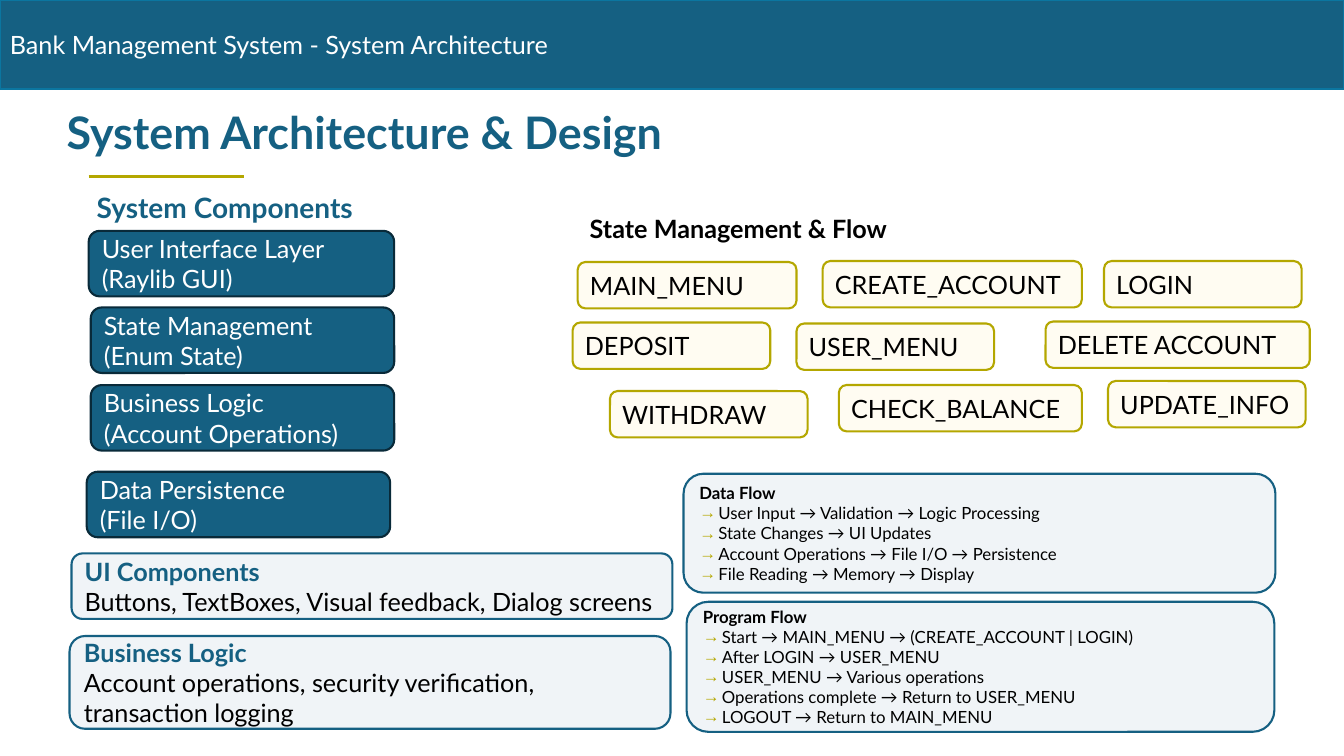
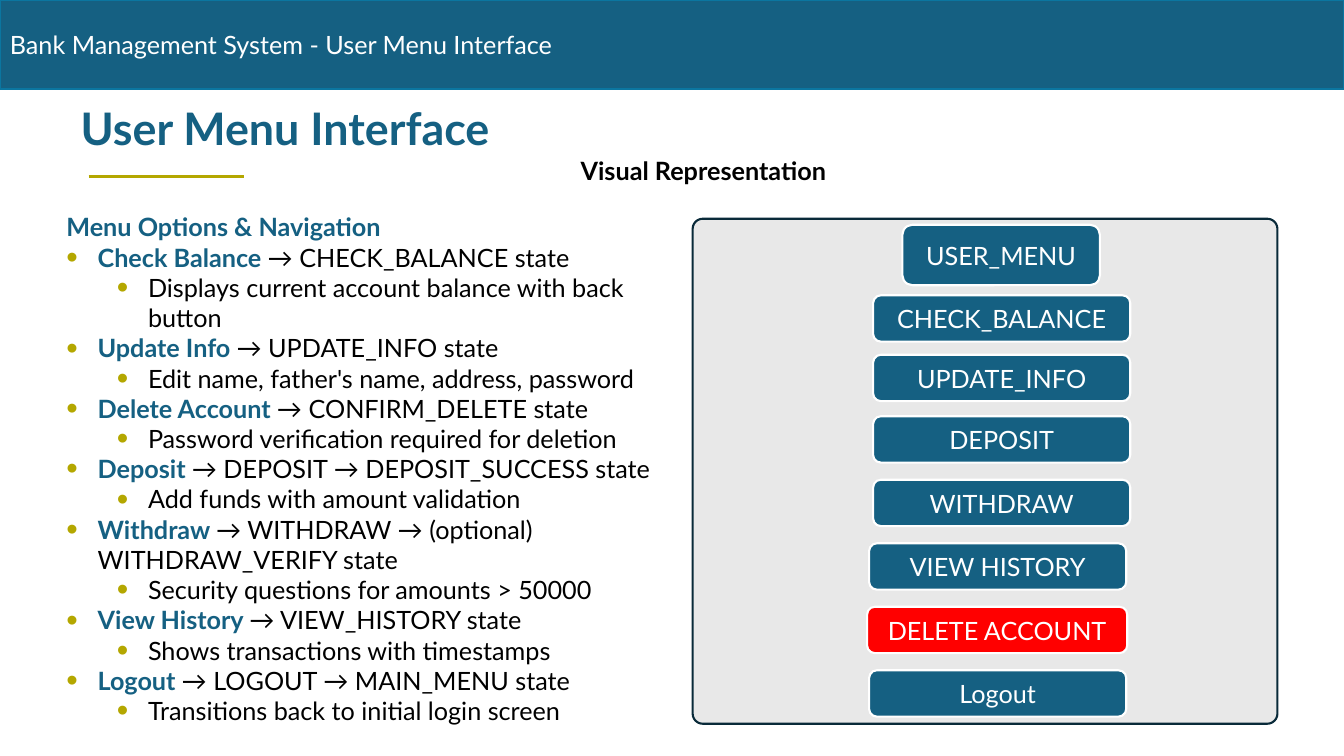
from dataclasses import dataclass

from lxml import etree
from pptx import Presentation
from pptx.dml.color import RGBColor
from pptx.enum.shapes import MSO_CONNECTOR, MSO_SHAPE
from pptx.enum.text import MSO_ANCHOR, MSO_AUTO_SIZE, PP_ALIGN
from pptx.oxml.ns import qn
from pptx.util import Inches, Pt

RECT = MSO_SHAPE.RECTANGLE
ROUNDED = MSO_SHAPE.ROUNDED_RECTANGLE
STRAIGHT = MSO_CONNECTOR.STRAIGHT
LEFT = PP_ALIGN.LEFT
CENTER = PP_ALIGN.CENTER
TOP = MSO_ANCHOR.TOP
MIDDLE = MSO_ANCHOR.MIDDLE
BOTTOM = MSO_ANCHOR.BOTTOM
NO_AUTOFIT = MSO_AUTO_SIZE.NONE
TITLE_ONLY = 5


@dataclass(frozen=True)
class Theme:
    font: str = "Lato"
    blue: str = "156082"
    band_line: str = "0B76A0"
    navy: str = "092A39"
    gold: str = "B4A700"
    cream: str = "FFFCF2"
    mist: str = "F0F4F7"
    gray: str = "E8E8E8"
    red: str = "FF0000"
    white: str = "FFFFFF"
    black: str = "000000"
    title: int = 32
    heading: int = 20
    body: int = 18
    small: int = 12
    outline: float = 1.5
    rule: float = 2


THEME = Theme()


@dataclass(frozen=True)
class Bullet:
    char: str
    left: float
    hang: float
    percent: int = 100


ARROW = Bullet("→", 0.19, 0.19)
DOT = Bullet("•", 0.31, 0.31, 130)
SUB_DOT = Bullet("•", 0.81, 0.31, 130)

COMPONENTS = [
    (0.88, 2.29, 3.03, "User Interface Layer", "(Raylib GUI)"),
    (0.9, 3.05, 3.01, "State Management", "(Enum State)"),
    (0.9, 3.82, 3.01, "Business Logic", "(Account Operations)"),
    (0.86, 4.68, 3.01, "Data Persistence", "(File I/O)"),
]

STATES = [
    (5.73, 2.6, 2.17, "MAIN_MENU"),
    (8.16, 2.59, 2.57, "CREATE_ACCOUNT"),
    (10.95, 2.59, 1.96, "LOGIN"),
    (5.68, 3.2, 1.96, "DEPOSIT"),
    (7.9, 3.21, 1.96, "USER_MENU"),
    (10.37, 3.19, 2.62, "DELETE ACCOUNT"),
    (6.05, 3.88, 1.96, "WITHDRAW"),
    (8.32, 3.82, 2.41, "CHECK_BALANCE"),
    (10.99, 3.78, 1.96, "UPDATE_INFO"),
]

FLOWS = [
    ((6.78, 4.7, 5.87, 1.18), "Data Flow", [
        "User Input → Validation → Logic Processing",
        "State Changes → UI Updates",
        "Account Operations → File I/O → Persistence",
        "File Reading → Memory → Display",
    ]),
    ((6.81, 5.97, 5.83, 1.29), "Program Flow", [
        "Start → MAIN_MENU → (CREATE_ACCOUNT | LOGIN)",
        "After LOGIN → USER_MENU",
        "USER_MENU → Various operations",
        "Operations complete → Return to USER_MENU",
        "LOGOUT → Return to MAIN_MENU",
    ]),
]

SUMMARIES = [
    ((0.71, 5.49, 5.96, 0.65), "UI Components",
     "Buttons, TextBoxes, Visual feedback, Dialog screens"),
    ((0.69, 6.31, 5.96, 0.92), "Business Logic",
     "Account operations, security verification, transaction logging"),
]

MENU_OPTIONS = [
    ("Check Balance", "→ CHECK_BALANCE state",
     "Displays current account balance with back button"),
    ("Update Info", "→ UPDATE_INFO state",
     "Edit name, father's name, address, password"),
    ("Delete Account", "→ CONFIRM_DELETE state",
     "Password verification required for deletion"),
    ("Deposit", "→ DEPOSIT → DEPOSIT_SUCCESS state",
     "Add funds with amount validation"),
    ("Withdraw", "→ WITHDRAW → (optional) WITHDRAW_VERIFY state",
     "Security questions for amounts > 50000"),
    ("View History", "→ VIEW_HISTORY state",
     "Shows transactions with timestamps"),
    ("Logout", "→ LOGOUT → MAIN_MENU state",
     "Transitions back to initial login screen"),
]

MENU_BUTTONS = [
    ((8.95, 2.23, 1.96, 0.6), "USER_MENU", THEME.blue),
    ((8.66, 2.93, 2.55, 0.46), "CHECK_BALANCE", THEME.blue),
    ((8.66, 3.52, 2.55, 0.46), "UPDATE_INFO", THEME.blue),
    ((8.66, 4.13, 2.55, 0.46), "DEPOSIT", THEME.blue),
    ((8.66, 4.76, 2.55, 0.46), "WITHDRAW", THEME.blue),
    ((8.62, 5.39, 2.55, 0.46), "VIEW HISTORY", THEME.blue),
    ((8.6, 6.02, 2.58, 0.46), "DELETE ACCOUNT", THEME.red),
    ((8.62, 6.65, 2.55, 0.46), "Logout", THEME.blue),
]


def rgb(color):
    return RGBColor.from_string(color)


def inches(box):
    return [Inches(v) for v in box]


def set_bullet(p, bullet):
    pPr = p._p.get_or_add_pPr()
    pPr.set("marL", str(Inches(bullet.left)))
    pPr.set("indent", str(-Inches(bullet.hang)))
    color = etree.SubElement(pPr, qn("a:buClr"))
    etree.SubElement(color, qn("a:srgbClr"), val=THEME.gold)
    etree.SubElement(pPr, qn("a:buSzPct"), val=str(bullet.percent * 1000))
    etree.SubElement(pPr, qn("a:buFont"), typeface="Arial")
    etree.SubElement(pPr, qn("a:buChar"), char=bullet.char)


def write(tf, text, *, lead="", size=THEME.body, color=THEME.black, bold=False,
          align=LEFT, level=0, bullet=None, spacing=None):
    p = tf.paragraphs[0]
    if p.runs:
        p = tf.add_paragraph()
    p.alignment = align
    p.level = level
    if spacing:
        p.line_spacing = spacing
    if bullet:
        set_bullet(p, bullet)
    runs = [(text, color, bold)]
    if lead:
        runs.insert(0, (lead + " ", THEME.blue, True))
    for content, run_color, run_bold in runs:
        r = p.add_run()
        r.text = content
        r.font.name = THEME.font
        r.font.size = Pt(size)
        r.font.bold = run_bold
        r.font.color.rgb = rgb(run_color)


def add_box(shapes, box, fill, line, kind=ROUNDED):
    sp = shapes.add_shape(kind, *inches(box))
    sp.shadow.inherit = False
    sp.fill.solid()
    sp.fill.fore_color.rgb = rgb(fill)
    sp.line.color.rgb = rgb(line)
    sp.line.width = Pt(THEME.outline)
    sp.text_frame.word_wrap = True
    sp.text_frame.vertical_anchor = MIDDLE
    return sp


def add_label(s, box):
    tf = s.shapes.add_textbox(*inches(box)).text_frame
    tf.word_wrap = True
    tf.vertical_anchor = TOP
    return tf


def add_rule(s, x1, x2, y):
    line = s.shapes.add_connector(STRAIGHT, *inches((x1, y, x2, y)))
    line.line.color.rgb = rgb(THEME.gold)
    line.line.width = Pt(THEME.rule)
    etree.SubElement(line._element.spPr, qn("a:effectLst"))


def add_slide(prs, title, section, title_box):
    s = prs.slides.add_slide(prs.slide_layouts[TITLE_ONLY])
    sp = s.shapes.title
    sp.left, sp.top, sp.width, sp.height = inches(title_box)
    tf = sp.text_frame
    tf.word_wrap = True
    tf.auto_size = NO_AUTOFIT
    tf.vertical_anchor = BOTTOM
    write(tf, title, size=THEME.title, color=THEME.blue, bold=True, spacing=0.9)
    band = add_box(s.shapes, (0, 0, 13.33, 0.88), THEME.blue, THEME.band_line, RECT)
    write(band.text_frame, f"Bank Management System - {section}", color=THEME.white)
    add_rule(s, 0.88, 2.42, 1.75)
    return s


def build_architecture(prs):
    s = add_slide(prs, "System Architecture & Design", "System Architecture",
                  (0.56, 0.75, 10.67, 0.88))
    write(add_label(s, (0.86, 1.84, 2.88, 0.44)), "System Components",
          size=THEME.heading, color=THEME.blue, bold=True)
    for x, y, width, *lines in COMPONENTS:
        layer = add_box(s.shapes, (x, y, width, 0.65), THEME.blue, THEME.navy)
        for text in lines:
            write(layer.text_frame, text, color=THEME.white)
    write(add_label(s, (5.75, 2.07, 3.51, 0.71)), "State Management & Flow", bold=True)
    for x, y, width, name in STATES:
        state = add_box(s.shapes, (x, y, width, 0.46), THEME.cream, THEME.gold)
        write(state.text_frame, name)
    for box, heading, steps in FLOWS:
        tf = add_box(s.shapes, box, THEME.mist, THEME.blue).text_frame
        write(tf, heading, size=THEME.small, bold=True)
        for step in steps:
            write(tf, step, size=THEME.small, bullet=ARROW)
    for box, heading, text in SUMMARIES:
        tf = add_box(s.shapes, box, THEME.mist, THEME.blue).text_frame
        write(tf, heading, color=THEME.blue, bold=True)
        write(tf, text)


def build_user_menu(prs):
    s = add_slide(prs, "User Menu Interface", "User Menu Interface",
                  (0.7, 1.03, 4.31, 0.56))
    options = add_label(s, (0.56, 2.05, 6.11, 5.25))
    write(options, "Menu Options & Navigation", color=THEME.blue, bold=True)
    for name, route, detail in MENU_OPTIONS:
        write(options, route, lead=name, bullet=DOT)
        write(options, detail, level=1, bullet=SUB_DOT)
    write(add_label(s, (5.66, 1.49, 4.65, 0.4)), "Visual Representation", bold=True)
    panel = add_box(s.shapes, (6.87, 2.17, 5.8, 5.01), THEME.gray, THEME.navy)
    panel.adjustments[0] = 0.02
    menu = s.shapes.add_group_shape()
    for box, name, fill in MENU_BUTTONS:
        button = add_box(menu.shapes, box, fill, THEME.white)
        write(button.text_frame, name, color=THEME.white, align=CENTER)


def main():
    prs = Presentation()
    prs.slide_width = Inches(13.33)
    prs.slide_height = Inches(7.5)
    build_architecture(prs)
    build_user_menu(prs)
    prs.save("out.pptx")


if __name__ == "__main__":
    main()
